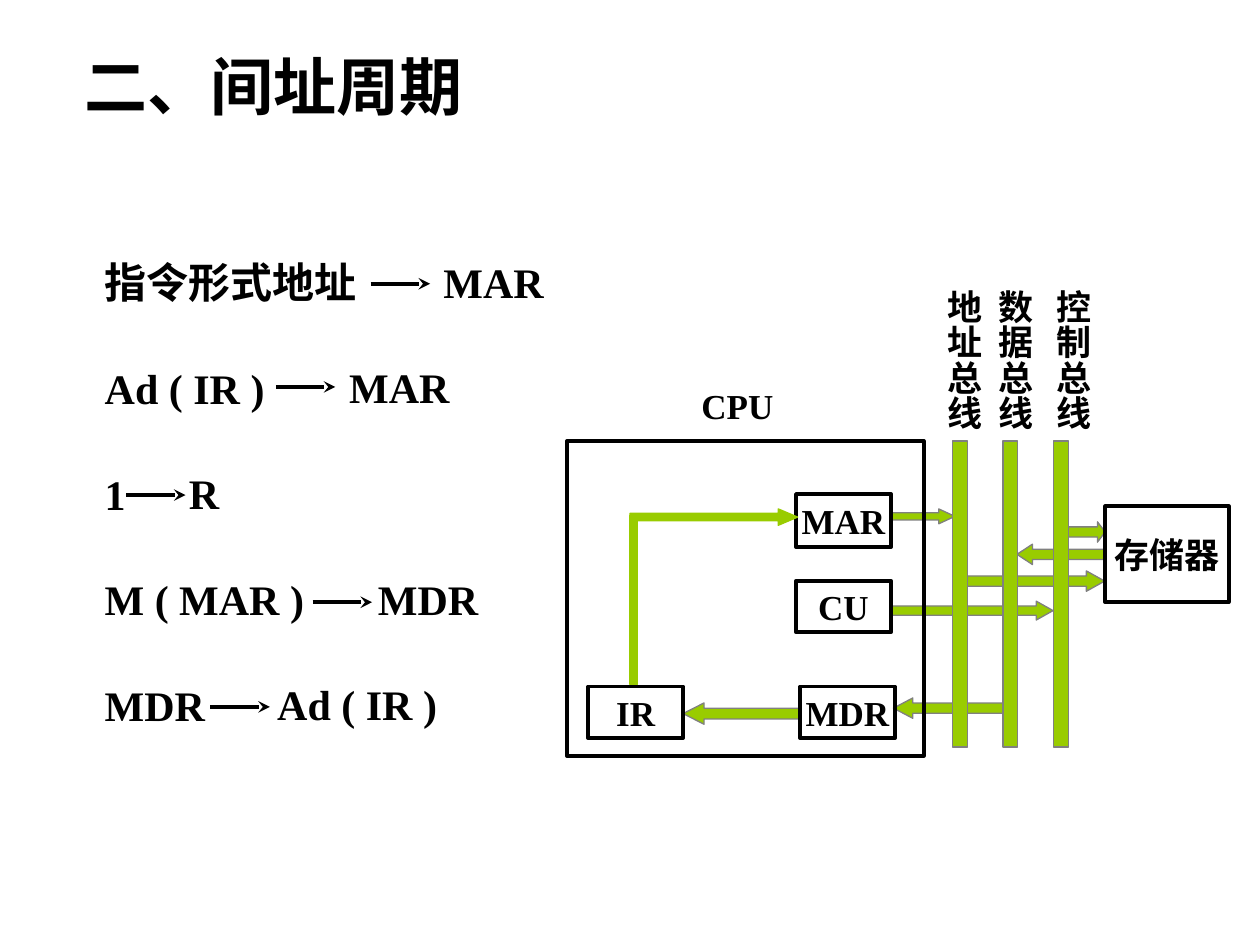
from lxml.etree import SubElement
from pptx import Presentation
from pptx.dml.color import RGBColor
from pptx.enum.shapes import MSO_CONNECTOR as Connector, MSO_SHAPE as Shape
from pptx.enum.text import MSO_ANCHOR as Anchor, MSO_AUTO_SIZE as AutoSize, PP_ALIGN as Align
from pptx.oxml.ns import qn
from pptx.util import Cm, Pt

BLACK = RGBColor(0x00, 0x00, 0x00)
GREEN = RGBColor(0x99, 0xCC, 0x00)
GREY = RGBColor(0x80, 0x80, 0x80)

FONT = {"name": "Times New Roman", "bold": True}
NO_MARGINS = {"margin_left": 0, "margin_right": 0, "margin_top": 0, "margin_bottom": 0}
TITLE_FRAME = {**NO_MARGINS, "auto_size": AutoSize.NONE, "vertical_anchor": Anchor.MIDDLE}
STEPS_FRAME = {**NO_MARGINS, "auto_size": AutoSize.NONE, "vertical_anchor": Anchor.TOP}
TARGET_FRAME = {**TITLE_FRAME, "word_wrap": True}
UNIT_FRAME = {"word_wrap": False, "vertical_anchor": Anchor.MIDDLE}
LABEL_FRAME = {"word_wrap": False, "auto_size": AutoSize.SHAPE_TO_FIT_TEXT}
BUS_LABEL_FRAME = {**LABEL_FRAME, "margin_left": Cm(0.13), "margin_right": Cm(0.13),
                   "margin_top": Cm(0.25), "margin_bottom": Cm(0.25)}
STEP_FORMAT = {"alignment": Align.LEFT, "line_spacing": Pt(60.5),
               "space_before": Pt(0), "space_after": Pt(0)}

STEPS = [
    ("指令形式地址", "MAR", 8.94, (7.47, 5.72)),
    ("Ad ( IR )", "MAR", 7.04, (5.56, 7.8)),
    ("1", "R", 3.81, (2.54, 9.98)),
    ("M ( MAR )", "MDR", 7.62, (6.3, 12.14)),
    ("MDR", "Ad ( IR )", 5.59, (4.24, 14.25)),
]
STEP_TOP, STEP_PITCH, STEP_HEIGHT = 5.08, 2.13, 1.19
STEP_ARROW_LENGTH = 1.2

CPU_FLOWS = [
    ((18.01, 14.07, 2.21, 0.41), (0.5, 0.95), 180),
    ((13.77, 14.17, 2.34, 0.43), (0.5, 0.98), 180),
    ((17.98, 12.12, 3.25, 0.38), (0.49, 0.89), 0),
    ((17.98, 10.26, 1.27, 0.3), (0.49, 1.08), 0),
]
MEMORY_FLOWS = [
    ((20.5, 10.97, 1.75, 0.41), (0.5, 0.76), 180),
    ((19.48, 11.51, 2.79, 0.41), (0.5, 0.9), 0),
    ((21.39, 10.52, 0.89, 0.41), (0.5, 0.38), 0),
]
UNITS = [
    ("MDR", (16.13, 13.84, 1.91, 1.04)),
    ("CU", (16.05, 11.71, 1.91, 1.04)),
    ("MAR", (16.05, 9.96, 1.91, 1.07)),
    ("IR", (11.86, 13.84, 1.91, 1.04)),
    ("存储器", (22.28, 10.21, 2.49, 1.93)),
]
BUS_LABELS = [("地址总线", 18.64), ("数据总线", 19.66), ("控制总线", 20.83)]
BUS_LEFT, BUS_PITCH = 19.2, 1.02


def apply_format(target, values):
    for attribute, value in values.items():
        setattr(target, attribute, value)


def place(part, box):
    apply_format(part, dict(zip(("left", "top", "width", "height"), map(Cm, box))))


def write(paragraph, text, size):
    run = paragraph.add_run()
    run.text = text
    apply_format(run.font, {**FONT, "size": Pt(size)})
    run.font.color.rgb = BLACK


def add_title(slide, text):
    title = slide.shapes.title
    place(title, (1.7, 1.12, 9, 1.19))
    apply_format(title.text_frame, TITLE_FRAME)
    heading = title.text_frame.paragraphs[0]
    heading.alignment = Align.LEFT
    write(heading, text, 36)


def add_steps(slide):
    steps = slide.placeholders[1]
    place(steps, (2.11, 4.05, 6, 10.67))
    frame = steps.text_frame
    apply_format(frame, STEPS_FRAME)
    for index, (source, target, target_left, arrow_start) in enumerate(STEPS):
        step = frame.add_paragraph() if index else frame.paragraphs[0]
        apply_format(step, STEP_FORMAT)
        properties = step._p.get_or_add_pPr()
        properties.set("marL", "0")
        properties.set("indent", "0")
        SubElement(properties, qn("a:buNone"))
        write(step, source, 24)
        add_step_arrow(slide, *arrow_start)
        target_box = (target_left, STEP_TOP + index * STEP_PITCH, 4, STEP_HEIGHT)
        add_label(slide, target, target_box, TARGET_FRAME, 24)


def add_step_arrow(slide, left, top):
    arrow = slide.shapes.add_connector(
        Connector.STRAIGHT, Cm(left), Cm(top), Cm(left + STEP_ARROW_LENGTH), Cm(top))
    arrow.line.color.rgb = BLACK
    arrow.line.width = Pt(2.25)
    SubElement(arrow.line._get_or_add_ln(), qn("a:tailEnd"), type="stealth")
    SubElement(arrow._element.spPr, qn("a:effectLst"))


def add_outlined(slide, kind, box, fill, line, width):
    part = slide.shapes.add_shape(kind, *map(Cm, box))
    part.shadow.inherit = False
    if fill is None:
        part.fill.background()
    else:
        part.fill.solid()
        part.fill.fore_color.rgb = fill
    part.line.color.rgb = line
    part.line.width = Pt(width)
    return part


def add_flow(slide, box, proportions, rotation, line=GREY):
    flow = add_outlined(slide, Shape.RIGHT_ARROW, box, GREEN, line, 0.75)
    flow.rotation = rotation
    for index, proportion in enumerate(proportions):
        flow.adjustments[index] = proportion


def add_bar(slide, box, line):
    add_outlined(slide, Shape.RECTANGLE, box, GREEN, line, 0.75)


def add_unit(slide, box, text=""):
    unit = add_outlined(slide, Shape.RECTANGLE, box, None, BLACK, 2.25)
    if text:
        apply_format(unit.text_frame, UNIT_FRAME)
        caption = unit.text_frame.paragraphs[0]
        caption.alignment = Align.CENTER
        write(caption, text, 20)


def add_label(slide, text, box, frame_format, size=20):
    label = slide.shapes.add_textbox(*map(Cm, box))
    apply_format(label.text_frame, frame_format)
    write(label.text_frame.paragraphs[0], text, size)
    return label


def add_bus(slide, index, text, label_left):
    add_bar(slide, (BUS_LEFT + index * BUS_PITCH, 8.89, 0.3, 6.17), GREY)
    label = add_label(slide, text, (label_left, 5.6, 1.35, 3.1), BUS_LABEL_FRAME)
    label.text_frame._txBody.bodyPr.set("vert", "eaVert")


def add_data_path(slide):
    for flow in CPU_FLOWS:
        add_flow(slide, *flow)
    add_unit(slide, (11.43, 8.89, 7.19, 6.35))
    add_label(slide, "CPU", (13.89, 7.62, 1.96, 1.12), LABEL_FRAME)
    for flow in MEMORY_FLOWS:
        add_flow(slide, *flow)
    add_bar(slide, (12.7, 10.39, 0.15, 3.41), GREEN)
    for index, (text, label_left) in enumerate(BUS_LABELS):
        add_bus(slide, index, text, label_left)
    for text, box in UNITS:
        add_unit(slide, box, text)
    add_flow(slide, (12.7, 10.26, 3.38, 0.33), (0.46, 1.18), 0, GREEN)


def main():
    presentation = Presentation()
    presentation.slide_width = Cm(25.4)
    presentation.slide_height = Cm(19.05)
    slide = presentation.slides.add_slide(presentation.slide_layouts[1])
    add_title(slide, "二、间址周期")
    add_steps(slide)
    add_data_path(slide)
    presentation.save("out.pptx")


if __name__ == "__main__":
    main()
